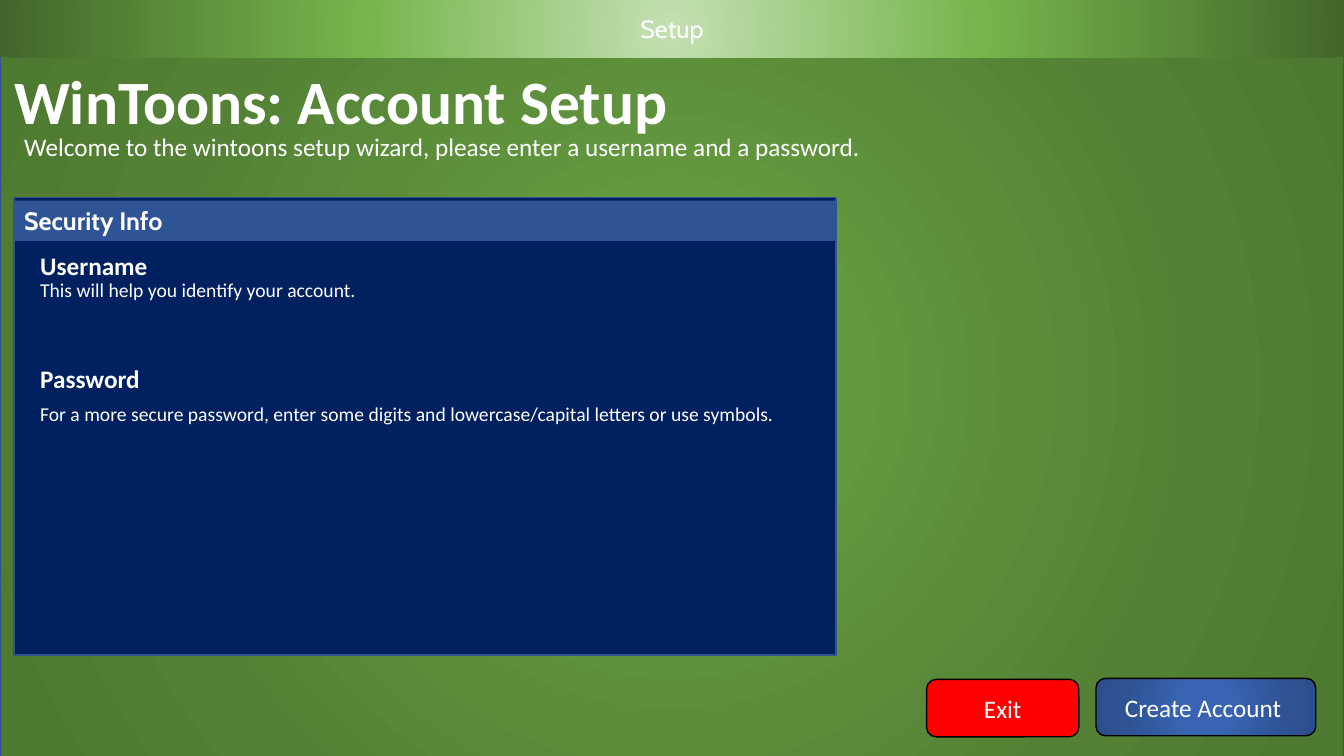
from pptx import Presentation
from pptx.dml.color import RGBColor
from pptx.enum.shapes import MSO_SHAPE
from pptx.enum.text import MSO_ANCHOR, MSO_AUTO_SIZE, PP_ALIGN
from pptx.oxml import parse_xml
from pptx.oxml.ns import nsdecls, qn
from pptx.util import Inches, Pt

RECT, ROUND = MSO_SHAPE.RECTANGLE, MSO_SHAPE.ROUNDED_RECTANGLE
TOP, MIDDLE = MSO_ANCHOR.TOP, MSO_ANCHOR.MIDDLE
LEFT, CENTER = PP_ALIGN.LEFT, PP_ALIGN.CENTER
WHITE = RGBColor(0xFF, 0xFF, 0xFF)
BLACK = RGBColor(0, 0, 0)
RED = RGBColor(0xFF, 0, 0)
NAVY = RGBColor(0, 0x20, 0x60)
BLUE = RGBColor(0x2F, 0x54, 0x96)
EDGE = RGBColor(0x31, 0x53, 0x8F)


def soft_stops(inner, middle, outer):
    return [(0, inner), (23, inner), (69, middle), (97, outer), (100, outer)]


GREEN_GLOW = soft_stops(RGBColor(0x63, 0x99, 0x3F), RGBColor(0x54, 0x81, 0x35),
                        RGBColor(0x4E, 0x79, 0x31))
BLUE_GLOW = soft_stops(RGBColor(0x38, 0x64, 0xB2), BLUE, RGBColor(0x2C, 0x4E, 0x8C))
BAR_GLOW = [(0, RGBColor(0xC4, 0xE0, 0xB2)), (46, RGBColor(0x75, 0xB5, 0x4B)),
            (100, RGBColor(0x43, 0x67, 0x2A))]

WINDOW_TITLE = "Setup"
HEADING = "WinToons: Account Setup"
WELCOME = "Welcome to the wintoons setup wizard, please enter a username and a password."
PANEL_TITLE = "Security Info"
# label, label top, hint, hint top
FIELDS = [
    ("Username", 2.43, "This will help you identify your account.", 2.71),
    ("Password", 3.56, "For a more secure password, enter some digits and "
     "lowercase/capital letters or use symbols.", 3.94),
]
# text, left, top, width, fill
BUTTONS = [("Exit", 9.19, 6.74, 1.51, RED),
           ("Create Account ", 10.87, 6.73, 2.18, BLUE_GLOW)]

PANEL_LEFT, PANEL_WIDTH = 0.14, 8.15
FIELD_LEFT, FIELD_WIDTH = 0.3, 7.63

prs = Presentation()
prs.slide_width, prs.slide_height = Inches(13.33), Inches(7.5)
s = prs.slides.add_slide(prs.slide_layouts[5])


def glow_fill(sp, stops):
    """Fill with a gradient that runs from the centre outwards."""
    gs = "".join(f'<a:gs pos="{pos * 1000}"><a:srgbClr val="{color}"/></a:gs>'
                 for pos, color in stops)
    sp.fill.background()
    spPr = sp._element.spPr
    spPr.replace(spPr.find(qn("a:noFill")), parse_xml(
        f'<a:gradFill {nsdecls("a")} rotWithShape="1"><a:gsLst>{gs}</a:gsLst>'
        '<a:path path="circle"><a:fillToRect l="50000" t="50000" r="50000" b="50000"/>'
        '</a:path></a:gradFill>'))


def add_block(kind, left, top, width, height, fill, line=None):
    sp = s.shapes.add_shape(kind, Inches(left), Inches(top), Inches(width), Inches(height))
    sp.shadow.inherit = False
    if isinstance(fill, list):
        glow_fill(sp, fill)
    else:
        sp.fill.solid()
        sp.fill.fore_color.rgb = fill
    if line is None:
        sp.line.fill.background()
    else:
        sp.line.color.rgb = line
        sp.line.width = Pt(1)
    return sp


def write(sp, text, size=18, bold=False, font="Calibri", align=LEFT, anchor=TOP):
    tf = sp.text_frame
    tf.word_wrap = True
    tf.auto_size = MSO_AUTO_SIZE.NONE
    tf.vertical_anchor = anchor
    p = tf.paragraphs[0]
    p.alignment = align
    r = p.add_run()
    r.text = text
    r.font.size, r.font.bold, r.font.name = Pt(size), bold, font
    r.font.color.rgb = WHITE


def add_text(text, left, top, width, height, **fmt):
    box = s.shapes.add_textbox(Inches(left), Inches(top), Inches(width), Inches(height))
    write(box, text, **fmt)


add_block(RECT, 0, 0, 13.33, 7.59, GREEN_GLOW, EDGE)
bar = add_block(RECT, 0, 0, 13.33, 0.57, BAR_GLOW)
write(bar, WINDOW_TITLE, font="Cabin", align=CENTER, anchor=MIDDLE)

add_block(RECT, PANEL_LEFT, 1.96, PANEL_WIDTH, 4.54, NAVY, EDGE)
header = add_block(RECT, PANEL_LEFT, 1.99, PANEL_WIDTH, 0.4, BLUE)
write(header, PANEL_TITLE, bold=True, font="Cabin")

for text, left, top, width, fill in BUTTONS:
    button = add_block(ROUND, left, top, width, 0.57, fill, BLACK)
    write(button, text, align=CENTER, anchor=MIDDLE)

title = s.shapes.title
title.left, title.top = Inches(0.04), Inches(0.57)
title.width, title.height = Inches(10.39), Inches(0.84)
write(title, HEADING, size=44, bold=True)
s.shapes._spTree.append(title._element)  # bring in front of the background

add_text(WELCOME, PANEL_LEFT, 1.25, 9.05, 0.4)
for label, label_top, hint, hint_top in FIELDS:
    add_text(hint, FIELD_LEFT, hint_top, FIELD_WIDTH, 0.34, size=14)
    add_text(label, FIELD_LEFT, label_top, 2.01, 0.4, bold=True)

prs.save("out.pptx")
